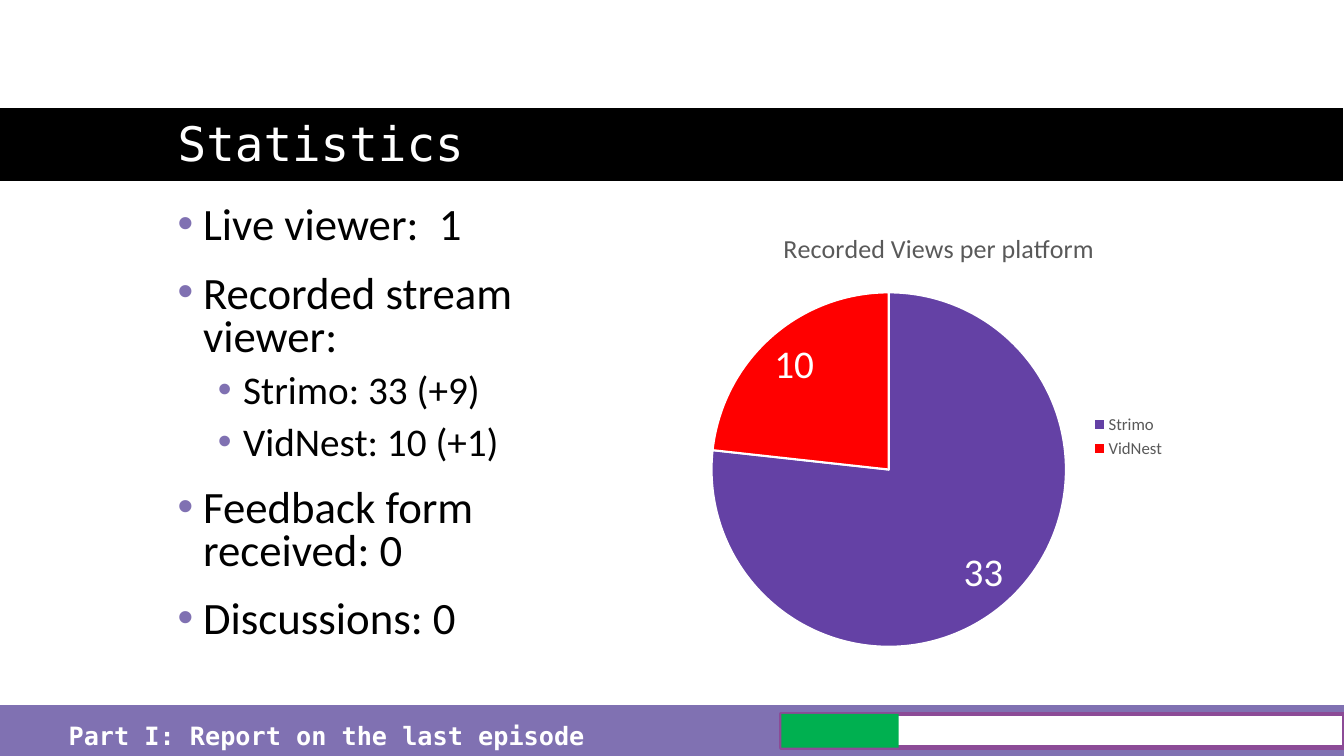
from dataclasses import dataclass

from lxml.etree import SubElement
from pptx import Presentation
from pptx.chart.data import CategoryChartData
from pptx.dml.color import RGBColor
from pptx.enum.chart import XL_CHART_TYPE as ChartType
from pptx.enum.chart import XL_LABEL_POSITION as LabelPosition
from pptx.enum.chart import XL_LEGEND_POSITION as LegendPosition
from pptx.enum.shapes import MSO_SHAPE as Preset
from pptx.enum.text import MSO_ANCHOR as Anchor
from pptx.oxml import parse_xml
from pptx.oxml.ns import nsdecls, qn
from pptx.util import Cm, Pt


@dataclass(frozen=True)
class Theme:
    black: RGBColor = RGBColor.from_string("000000")
    white: RGBColor = RGBColor.from_string("FFFFFF")
    gray: RGBColor = RGBColor.from_string("595959")
    lavender: RGBColor = RGBColor.from_string("8071B2")
    plum: RGBColor = RGBColor.from_string("8C4B97")
    green: RGBColor = RGBColor.from_string("00B050")
    violet: RGBColor = RGBColor.from_string("6441A5")
    red: RGBColor = RGBColor.from_string("FF0000")
    body_font: str = "Calibri"
    mono_font: str = "DejaVu Sans Mono"
    title_size: Pt = Pt(34)
    body_size: Pt = Pt(32)
    detail_size: Pt = Pt(28)
    footer_size: Pt = Pt(18)
    chart_title_size: Pt = Pt(18.6)
    legend_size: Pt = Pt(12)
    chart_size: Pt = Pt(10)


theme = Theme()


def style_font(font, name, size, color):
    font.name = name
    font.size = size
    font.color.rgb = color
    font.bold = False


def manual_layout(**values):
    layout = parse_xml(f"<c:layout {nsdecls('c')}><c:manualLayout/></c:layout>")
    for tag, value in values.items():
        SubElement(layout[0], qn(f"c:{tag}")).set("val", str(value))
    return layout


presentation = Presentation()
presentation.slide_width = Cm(33.87)
presentation.slide_height = Cm(19.05)
slide = presentation.slides.add_slide(presentation.slide_layouts[6])

bars = [
    (-0.85, 2.7, 34.72, 1.9, theme.black, theme.white, 1.5),
    (0, 17.78, 33.87, 1.27, theme.lavender, theme.lavender, 1),
    (19.69, 17.99, 14.18, 0.85, theme.white, theme.plum, 3),
    (19.69, 17.99, 2.96, 0.85, theme.green, None, 0),
]
for left, top, width, height, fill, line, weight in bars:
    bar = slide.shapes.add_shape(
        Preset.RECTANGLE, Cm(left), Cm(top), Cm(width), Cm(height)
    )
    bar.shadow.inherit = False
    bar.fill.solid()
    bar.fill.fore_color.rgb = fill
    if line is None:
        bar.line.fill.background()
    else:
        bar.line.color.rgb = line
        bar.line.width = Pt(weight)

headings = [
    ("Statistics", 4.23, 1.27, 25.4, 3.18, Anchor.BOTTOM, theme.title_size, False, 0.9),
    ("Part I: Report on the last episode", 1.48, 18.03, 13.76, 1.02,
     Anchor.TOP, theme.footer_size, True, 1.0),
]
for text, left, top, width, height, anchor, size, bold, spacing in headings:
    box = slide.shapes.add_textbox(Cm(left), Cm(top), Cm(width), Cm(height))
    box.text_frame.word_wrap = True
    box.text_frame.vertical_anchor = anchor
    paragraph = box.text_frame.paragraphs[0]
    paragraph.line_spacing = spacing
    run = paragraph.add_run()
    run.text = text
    style_font(run.font, theme.mono_font, size, theme.white)
    run.font.bold = bold

statistics = [
    ("Live viewer:  1", 0),
    ("Recorded stream viewer:", 0),
    ("Strimo: 33 (+9)", 1),
    ("VidNest: 10 (+1)", 1),
    ("Feedback form received: 0", 0),
    ("Discussions: 0", 0),
]
levels = [
    (theme.body_size, Pt(18), Cm(0.64)),
    (theme.detail_size, Pt(10), Cm(1.65)),
]
body = slide.shapes.add_textbox(Cm(4.23), Cm(5.08), Cm(12.07), Cm(11.85))
body.text_frame.word_wrap = True
for index, (text, level) in enumerate(statistics):
    size, space_before, indent = levels[level]
    frame = body.text_frame
    paragraph = frame.add_paragraph() if index else frame.paragraphs[0]
    paragraph.level = level
    paragraph.line_spacing = 0.8
    paragraph.space_before = space_before
    properties = paragraph._p.get_or_add_pPr()
    properties.set("marL", str(indent))
    properties.set("indent", str(-Cm(0.64)))
    bullet_color = SubElement(properties, qn("a:buClr"))
    SubElement(bullet_color, qn("a:srgbClr")).set("val", str(theme.lavender))
    SubElement(properties, qn("a:buFont")).set("typeface", "Arial")
    SubElement(properties, qn("a:buChar")).set("char", "•")
    run = paragraph.add_run()
    run.text = text
    style_font(run.font, theme.body_font, size, theme.black)

chart_data = CategoryChartData()
chart_data.categories = ["Strimo", "VidNest"]
chart_data.add_series("Recorded Views per platform", (33, 10))
chart = slide.shapes.add_chart(
    ChartType.PIE, Cm(17.57), Cm(5.08), Cm(12.07), Cm(11.85), chart_data
).chart
style_font(chart.font, theme.body_font, theme.chart_size, theme.black)

chart.has_title = True
run = chart.chart_title.text_frame.paragraphs[0].add_run()
run.text = "Recorded Views per platform"
style_font(run.font, theme.body_font, theme.chart_title_size, theme.gray)
chart.chart_title.include_in_layout = False
title_element = chart.chart_title._element
for layout in title_element.findall(qn("c:layout")):
    title_element.remove(layout)
title_element.find(qn("c:tx")).addnext(
    manual_layout(xMode="edge", yMode="edge", x=0.17, y=0.05)
)

chart.has_legend = True
chart.legend.position = LegendPosition.RIGHT
chart.legend.include_in_layout = False
style_font(chart.legend.font, theme.body_font, theme.legend_size, theme.gray)

plot = chart.plots[0]
plot.vary_by_categories = True
for index, color in enumerate((theme.violet, theme.red)):
    wedge = plot.series[0].points[index].format
    wedge.fill.solid()
    wedge.fill.fore_color.rgb = color
    wedge.line.color.rgb = theme.white
    wedge.line.width = Pt(1.5)
plot.has_data_labels = True
labels = plot.data_labels
labels.show_value = True
labels.show_percentage = False
labels.position = LabelPosition.INSIDE_END
style_font(labels.font, theme.body_font, theme.detail_size, theme.white)

plot_area = chart._chartSpace.find(f".//{qn('c:plotArea')}")
for layout in plot_area.findall(qn("c:layout")):
    plot_area.remove(layout)
plot_area.insert(0, manual_layout(
    layoutTarget="inner", xMode="edge", yMode="edge", x=0.03, y=0.19, w=0.74, h=0.76
))

presentation.save("out.pptx")
